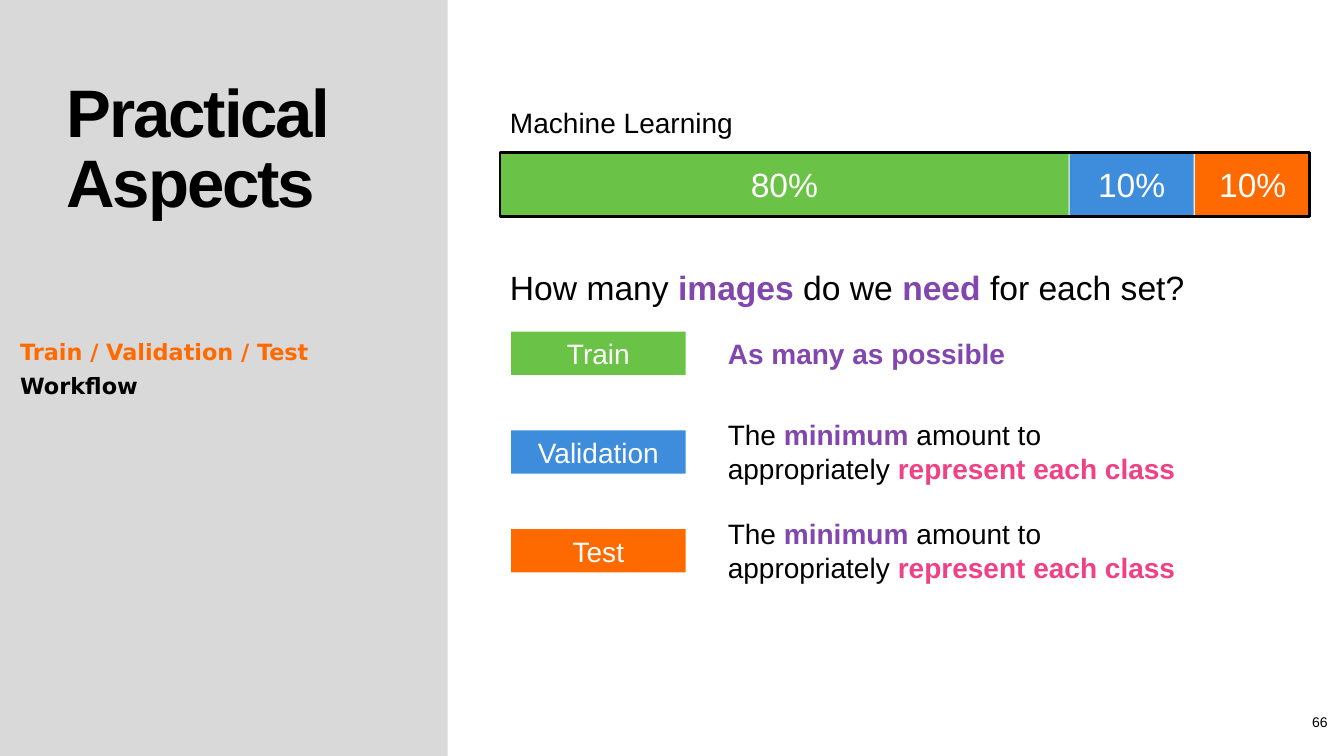
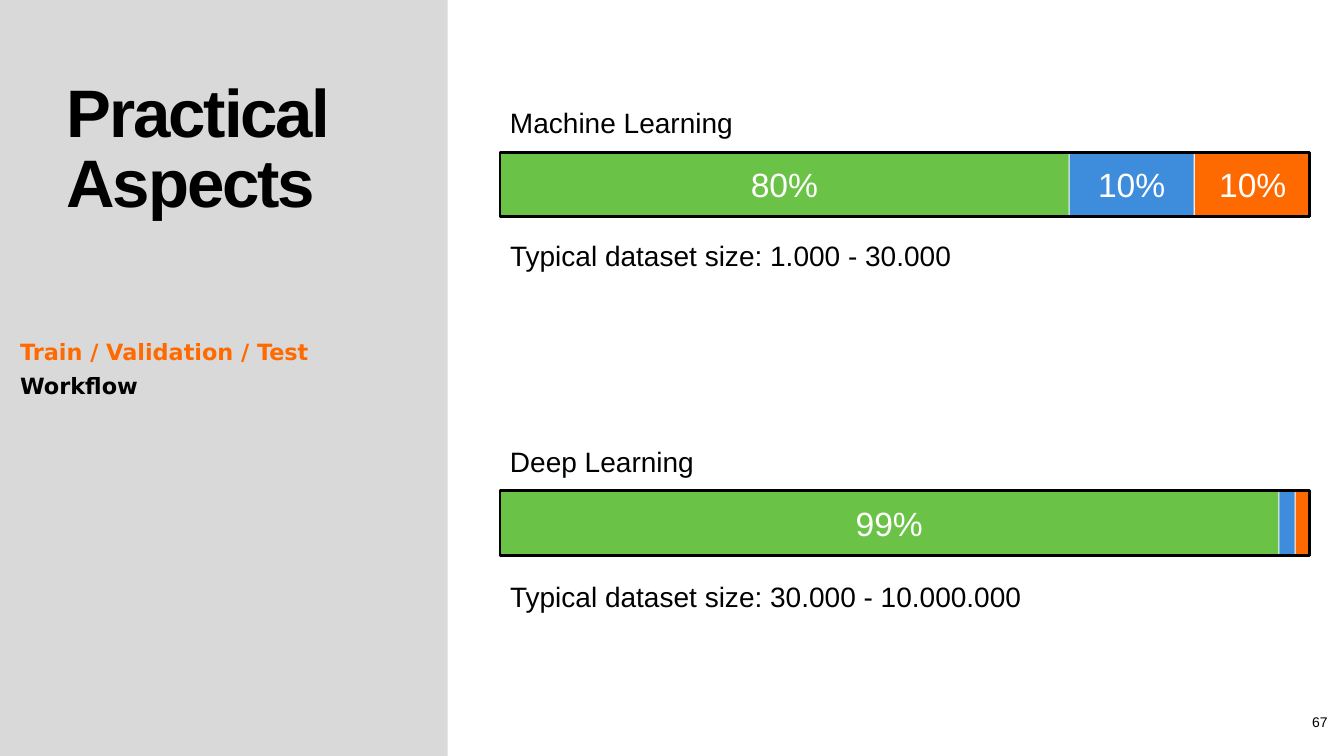
from dataclasses import dataclass
from typing import Sequence

from lxml.etree import SubElement
from pptx import Presentation
from pptx.dml.color import RGBColor
from pptx.enum.shapes import MSO_SHAPE as Preset
from pptx.enum.text import MSO_ANCHOR as Anchor, MSO_AUTO_SIZE as AutoSize, PP_ALIGN as Align
from pptx.oxml.ns import qn
from pptx.util import Inches, Pt

COLOURS = {
    "panel": "D9D9D9",
    "black": "000000",
    "white": "FFFFFF",
    "train": "6AC346",
    "validation": "3E8DDD",
    "test": "FF6A00",
    "purple": "8246AF",
    "pink": "F04187",
}
SANS = "Arial"
MENU_FONT = "DejaVu Sans"
BAR_LEFT, BAR_WIDTH, BAR_HEIGHT, BAR_GAP = 4.96, 8.03, 0.64, 0.01
CAPTION_HEIGHT = 0.59
ROW_TOP, ROW_PITCH, LABEL_HEIGHT = 3.29, 0.98, 0.43


@dataclass(frozen=True)
class Span:
    text: str
    colour: str = "black"
    bold: bool = False


@dataclass(frozen=True)
class Area:
    left: float
    top: float
    width: float
    height: float

    def lengths(self):
        return [Inches(value) for value in (self.left, self.top, self.width, self.height)]


@dataclass(frozen=True)
class Segment:
    width: float
    colour: str
    label: str = ""


@dataclass(frozen=True)
class SetRow:
    label: str
    colour: str
    text_height: float
    spans: Sequence[Span]


MACHINE_SPLIT = (
    Segment(5.64, "train", "80%"),
    Segment(1.23, "validation", "10%"),
    Segment(1.15, "test", "10%"),
)
DEEP_SPLIT = (
    Segment(7.72, "train", "99%"),
    Segment(0.15, "validation"),
    Segment(0.15, "test"),
)
MINIMUM = (
    Span("The "),
    Span("minimum ", "purple", True),
    Span("amount to appropriately "),
    Span("represent each class", "pink", True),
)
SET_ROWS = (
    SetRow("Train", "train", 0.43, (Span("As many as possible", "purple", True),)),
    SetRow("Validation", "validation", 0.78, MINIMUM),
    SetRow("Test", "test", 0.78, MINIMUM),
)
QUESTION = (
    Span("How many "),
    Span("images", "purple", True),
    Span(" do we "),
    Span("need", "purple", True),
    Span(" for each set?"),
)
MENU = (
    (Span("Train / Validation / Test", "test", True),),
    (Span("Workflow", "black", True),),
)


def rgb(name: str) -> RGBColor:
    return RGBColor.from_string(COLOURS[name])


def write(shape, *lines: Sequence[Span], size: float = 20, font: str = SANS, align=Align.LEFT,
          anchor=Anchor.TOP, inset: bool = True, line_spacing=None, tracking: float = 0,
          plain: bool = False) -> None:
    """Fill a shape with one paragraph per line; plain removes inherited bullets and indents."""
    frame = shape.text_frame
    frame.word_wrap = True
    frame.auto_size = AutoSize.NONE
    frame.vertical_anchor = anchor
    if not inset:
        frame.margin_left = frame.margin_right = frame.margin_top = frame.margin_bottom = 0
    for index, spans in enumerate(lines):
        para = frame.add_paragraph() if index else frame.paragraphs[0]
        para.alignment = align
        para.space_before = Pt(0)
        if line_spacing:
            para.line_spacing = Pt(line_spacing)
        if plain:
            properties = para._p.get_or_add_pPr()
            properties.set("marL", "0")
            properties.set("indent", "0")
            SubElement(properties, qn("a:buNone"))
        for span in spans:
            run = para.add_run()
            run.text = span.text
            run.font.size = Pt(size)
            run.font.name = font
            run.font.bold = span.bold
            run.font.color.rgb = rgb(span.colour)
            if tracking:
                run._r.get_or_add_rPr().set("spc", str(round(tracking * 100)))


def add_text(page, area: Area, *spans: Span, **style) -> None:
    write(page.shapes.add_textbox(*area.lengths()), spans, **style)


def add_block(page, area: Area, colour: str, label: str = "", size: float = 20):
    """Draw a borderless coloured rectangle with a centred white label."""
    block = page.shapes.add_shape(Preset.RECTANGLE, *area.lengths())
    block.shadow.inherit = False
    block.fill.solid()
    block.fill.fore_color.rgb = rgb(colour)
    block.line.fill.background()
    if label:
        write(block, [Span(label, "white")], size=size, align=Align.CENTER, anchor=Anchor.MIDDLE)
    return block


def add_split_bar(page, top: float, caption: str, segments: Sequence[Segment]) -> None:
    add_text(page, Area(BAR_LEFT, top - CAPTION_HEIGHT, 5.23, CAPTION_HEIGHT), Span(caption),
             anchor=Anchor.MIDDLE)
    left = BAR_LEFT
    for segment in segments:
        area = Area(left, top, segment.width, BAR_HEIGHT)
        add_block(page, area, segment.colour, segment.label, size=24)
        left += segment.width + BAR_GAP
    frame = page.shapes.add_shape(
        Preset.RECTANGLE, *Area(BAR_LEFT, top, BAR_WIDTH, BAR_HEIGHT).lengths())
    frame.shadow.inherit = False
    frame.fill.background()
    frame.line.color.rgb = rgb("black")
    frame.line.width = Pt(2)


def add_set_row(page, top: float, row: SetRow) -> None:
    add_block(page, Area(5.07, top, 1.73, LABEL_HEIGHT), row.colour, row.label)
    text_top = top - (row.text_height - LABEL_HEIGHT) / 2
    add_text(page, Area(7.12, text_top, 4.86, row.text_height), *row.spans)


def place(shape, area: Area) -> None:
    shape.left, shape.top, shape.width, shape.height = area.lengths()


def prepare_layout(deck):
    """Give the title-and-content layout the side panel and the placeholder positions."""
    layout = deck.slide_layouts[1]
    title, body = list(layout.placeholders)[:2]
    place(title, Area(0.66, 0.8, 3.78, 2.13))
    place(body, Area(0.2, 3.29, 4.24, 2.95))
    return layout


def add_panel(layout, page) -> None:
    """Draw the side panel and move it behind everything on the layout."""
    panel = add_block(page, Area(0, 0, 4.44, 7.5), "panel")
    layout.shapes.element.insert(2, panel.element)


def add_page(deck, layout, number: int):
    page = deck.slides.add_slide(layout)
    write(page.shapes.title, [Span("Practical Aspects", bold=True)], size=48, inset=False,
          line_spacing=50, tracking=-1.5)
    write(page.placeholders[1], *MENU, size=16, font=MENU_FONT, inset=False, line_spacing=24,
          plain=True)
    add_text(page, Area(12.85, 7.08, 0.48, 0.17), Span(str(number)), size=10,
             align=Align.CENTER, anchor=Anchor.MIDDLE, inset=False)
    add_split_bar(page, 1.51, "Machine Learning", MACHINE_SPLIT)
    return page


def main() -> None:
    deck = Presentation()
    deck.slide_width, deck.slide_height = Inches(13.33), Inches(7.5)
    layout = prepare_layout(deck)

    amounts = add_page(deck, layout, 66)
    add_panel(layout, amounts)
    add_text(amounts, Area(BAR_LEFT, 2.6, BAR_WIDTH, 0.48), *QUESTION, size=24)
    for index, row in enumerate(SET_ROWS):
        add_set_row(amounts, ROW_TOP + index * ROW_PITCH, row)

    sizes = add_page(deck, layout, 67)
    add_split_bar(sizes, 4.87, "Deep Learning", DEEP_SPLIT)
    for top, span in ((2.32, "1.000 - 30.000"), (5.7, "30.000 - 10.000.000")):
        add_text(sizes, Area(BAR_LEFT, top, 6.41, 0.53), Span(f"Typical dataset size: {span}"))

    deck.save("out.pptx")


if __name__ == "__main__":
    main()
